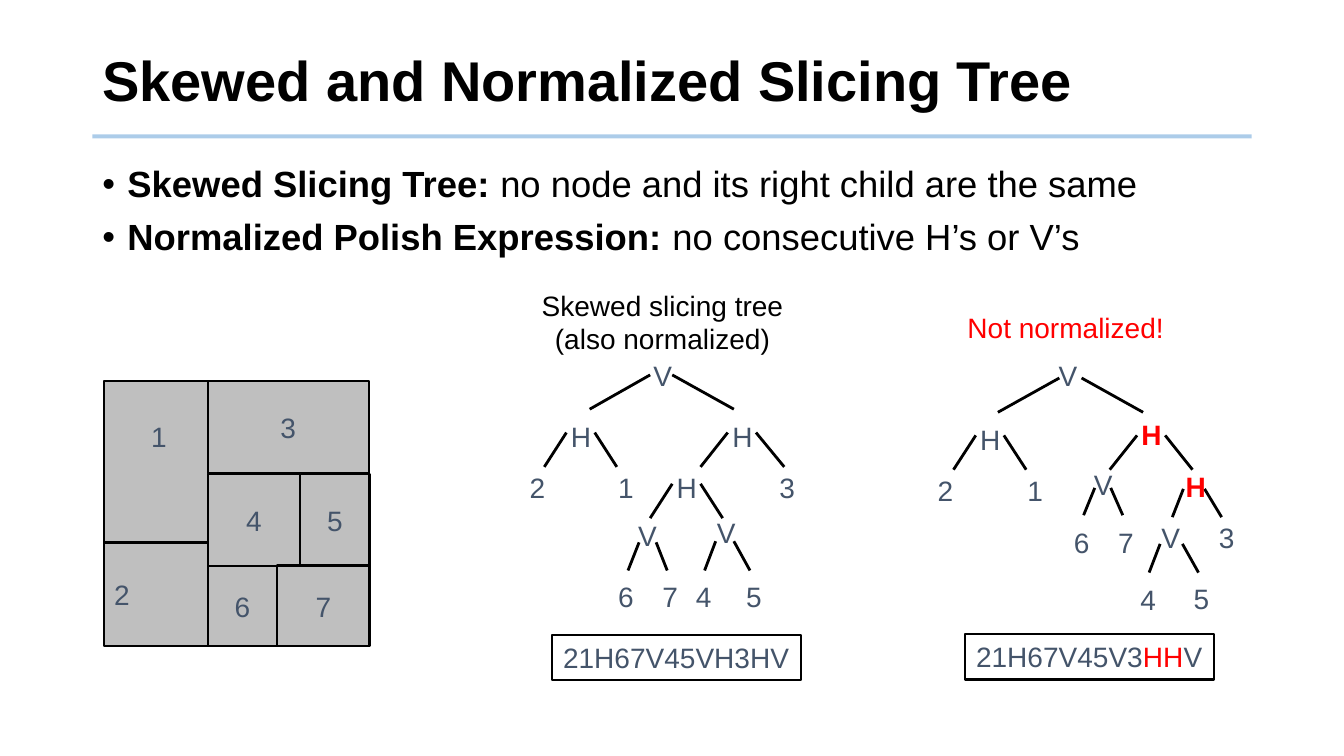
from lxml import etree
from pptx import Presentation
from pptx import util as u
from pptx.dml import color
from pptx.enum import shapes, text
from pptx.oxml import ns

BLACK, RED, SLATE, GREY, BLUE = "000000", "FF0000", "44546A", "BFBFBF", "5B9BD5"
CENTER, LEFT = text.PP_ALIGN.CENTER, text.PP_ALIGN.LEFT
TOP, MIDDLE = text.MSO_ANCHOR.TOP, text.MSO_ANCHOR.MIDDLE
LABEL_W, LABEL_H = 28, 31

BULLETS = [
    ("Skewed Slicing Tree: ", "no node and its right child are the same"),
    ("Normalized Polish Expression: ", "no consecutive H’s or V’s"),
]
# Floorplan: label, left, top, width, height
BLOCKS = [
    ("", 74.5, 272.3, 74, 115.2), ("6", 148.3, 404, 49.7, 57.5),
    ("3", 148.3, 272.3, 115.2, 65.7), ("5", 214.5, 338.3, 49.5, 66.2),
    ("4", 148.3, 338.3, 66.2, 66.2), ("7", 198, 404, 66, 57.5),
]
# Nodes: label, centre x, top, colour
# Forks: top y, bottom y, left branch start and end x, right branch start and end x
SKEWED_NODES = [
    ("V", 473.4, 252.7, SLATE), ("H", 414.7, 296, SLATE), ("H", 530, 296, SLATE),
    ("2", 383.8, 332.6, SLATE), ("1", 447.1, 332.6, SLATE),
    ("H", 490.3, 332.6, SLATE), ("3", 562.3, 332.6, SLATE),
    ("V", 462.6, 366.5, SLATE), ("V", 518.8, 365, SLATE),
    ("6", 447.1, 410.4, SLATE), ("7", 478.8, 410.4, SLATE),
    ("4", 502.6, 410.4, SLATE), ("5", 538.6, 410.4, SLATE),
]
SKEWED_FORKS = [
    (267.8, 292.3, 464.4, 421.2, 480.2, 524.2),
    (309, 333.5, 404.6, 388.8, 424.8, 440.6),
    (309, 333.5, 519.8, 500.4, 540, 560.2),
    (345.6, 370.1, 480.2, 464.4, 500.4, 516.2),
    (387.4, 407.5, 456.5, 448.6, 468.7, 476.6),
    (386.6, 407.5, 511.2, 503.3, 524.2, 535.7),
]
OTHER_NODES = [
    ("V", 762.8, 252.7, SLATE), ("H", 707, 298, SLATE), ("H", 822.2, 294.5, RED),
    ("2", 675.4, 334.8, SLATE), ("1", 739.4, 334.8, SLATE),
    ("V", 788, 330.5, SLATE), ("H", 853.9, 332, RED),
    ("6", 772.6, 371.5, SLATE), ("7", 804.2, 371.5, SLATE),
    ("V", 836.3, 368, SLATE), ("3", 876.2, 368.6, SLATE),
    ("4", 820.1, 412.6, SLATE), ("5", 858.2, 412, SLATE),
]
OTHER_FORKS = [
    (270, 294.5, 756.7, 712.8, 772.6, 816.5),
    (311, 335.5, 697, 681.1, 717.1, 733),
    (311, 335.5, 812.2, 792.7, 832.3, 851.8),
    (348.5, 368, 782, 774, 793.4, 802),
    (349.2, 369.4, 845.3, 837.4, 860.4, 872.6),
    (388.5, 409, 828.7, 820.8, 844.6, 856.1),
]


def rgb(value):
    return color.RGBColor.from_string(value)


def apply(target, **values):
    for name, value in values.items():
        setattr(target, name, value)


def write(box, lines, size=20, align=CENTER, anchor=TOP, wrap=False):
    """Fill box with lines, each a list of (words, colour, bold)."""
    frame = box.text_frame
    apply(frame, word_wrap=wrap, vertical_anchor=anchor)
    for index, spans in enumerate(lines):
        para = frame.add_paragraph() if index else frame.paragraphs[0]
        para.alignment = align
        for words, colour, bold in spans:
            span = para.add_run()
            span.text = words
            apply(span.font, name="Arial", size=u.Pt(size), bold=bold)
            span.font.color.rgb = rgb(colour)
    return frame


def add_text(page, area, lines, **layout):
    box = page.shapes.add_textbox(*map(u.Pt, area))
    return write(box, lines, **layout)


def add_rect(page, area, lines, fill=None, outline=True, **layout):
    rect = page.shapes.add_shape(shapes.MSO_SHAPE.RECTANGLE, *map(u.Pt, area))
    rect.shadow.inherit = False
    if fill:
        rect.fill.solid()
        rect.fill.fore_color.rgb = rgb(fill)
    else:
        rect.fill.background()
    if outline:
        rect.line.color.rgb = rgb(BLACK)
        rect.line.width = u.Pt(1.5)
    else:
        rect.line.fill.background()
    write(rect, lines, **layout)


def add_line(page, ends, colour=BLACK, width=2):
    line = page.shapes.add_connector(shapes.MSO_CONNECTOR.STRAIGHT, *map(u.Pt, ends))
    line.line.color.rgb = rgb(colour)
    line.line.width = u.Pt(width)
    etree.SubElement(line._element.spPr, ns.qn("a:effectLst"))
    return line


def add_heading(page):
    rule = add_line(page, (66, 97.4, 894, 97.4), BLUE, 3)
    fill = rule._element.spPr.find(".//" + ns.qn("a:srgbClr"))
    etree.SubElement(fill, ns.qn("a:alpha"), val="50000")
    title = add_text(page, (66, 20, 828, 79),
                     [[("Skewed and Normalized Slicing Tree", BLACK, True)]],
                     size=40, align=LEFT, anchor=MIDDLE, wrap=True)
    title.paragraphs[0].line_spacing = 0.9


def add_bullets(page):
    lines = [[(term, BLACK, True), (meaning, BLACK, False)] for term, meaning in BULLETS]
    frame = add_text(page, (66, 115.2, 828, 80), lines, size=26, align=LEFT, wrap=True)
    for index, para in enumerate(frame.paragraphs):
        apply(para, line_spacing=0.9, space_before=u.Pt(10 if index else 0))
        props = para._p.get_or_add_pPr()
        props.set("marL", str(u.Pt(18)))
        props.set("indent", str(-u.Pt(18)))
        etree.SubElement(props, ns.qn("a:buFont"), typeface="Arial")
        etree.SubElement(props, ns.qn("a:buChar"), char="•")


def add_floorplan(page):
    for label, *area in BLOCKS:
        add_rect(page, area, [[(label, SLATE, False)]] if label else [],
                 fill=GREY, anchor=MIDDLE)
    add_rect(page, (74.5, 387.5, 74, 74), [[("2", SLATE, False)]],
             fill=GREY, align=LEFT, anchor=MIDDLE)
    add_rect(page, (93, 296, 41, 56), [[("1", SLATE, False)]], fill=GREY, outline=False)


def add_tree(page, nodes, forks):
    for top, bottom, *branches in forks:
        for start, end in (branches[:2], branches[2:]):
            add_line(page, (start, top, end, bottom))
    for label, center, top, colour in nodes:
        add_text(page, (center - LABEL_W / 2, top, LABEL_W, LABEL_H),
                 [[(label, colour, colour == RED)]])


def main():
    deck = Presentation()
    apply(deck, slide_width=u.Pt(960), slide_height=u.Pt(540))
    page = deck.slides.add_slide(deck.slide_layouts[6])
    add_heading(page)
    add_bullets(page)
    add_floorplan(page)
    add_tree(page, SKEWED_NODES, SKEWED_FORKS)
    add_rect(page, (394, 453.6, 178, 32.4), [[("21H67V45VH3HV", SLATE, False)]])
    add_tree(page, OTHER_NODES, OTHER_FORKS)
    add_rect(page, (689, 453, 178, 32.4),
             [[("21H67V45V3", SLATE, False), ("HH", RED, False), ("V", SLATE, False)]])
    add_text(page, (371, 202.3, 204.5, 55.5),
             [[("Skewed slicing tree", BLACK, False)], [("(also normalized)", BLACK, False)]],
             wrap=True)
    add_text(page, (659, 218.2, 204.5, 31.5), [[("Not normalized!", RED, False)]], wrap=True)
    deck.save("out.pptx")


if __name__ == "__main__":
    main()
